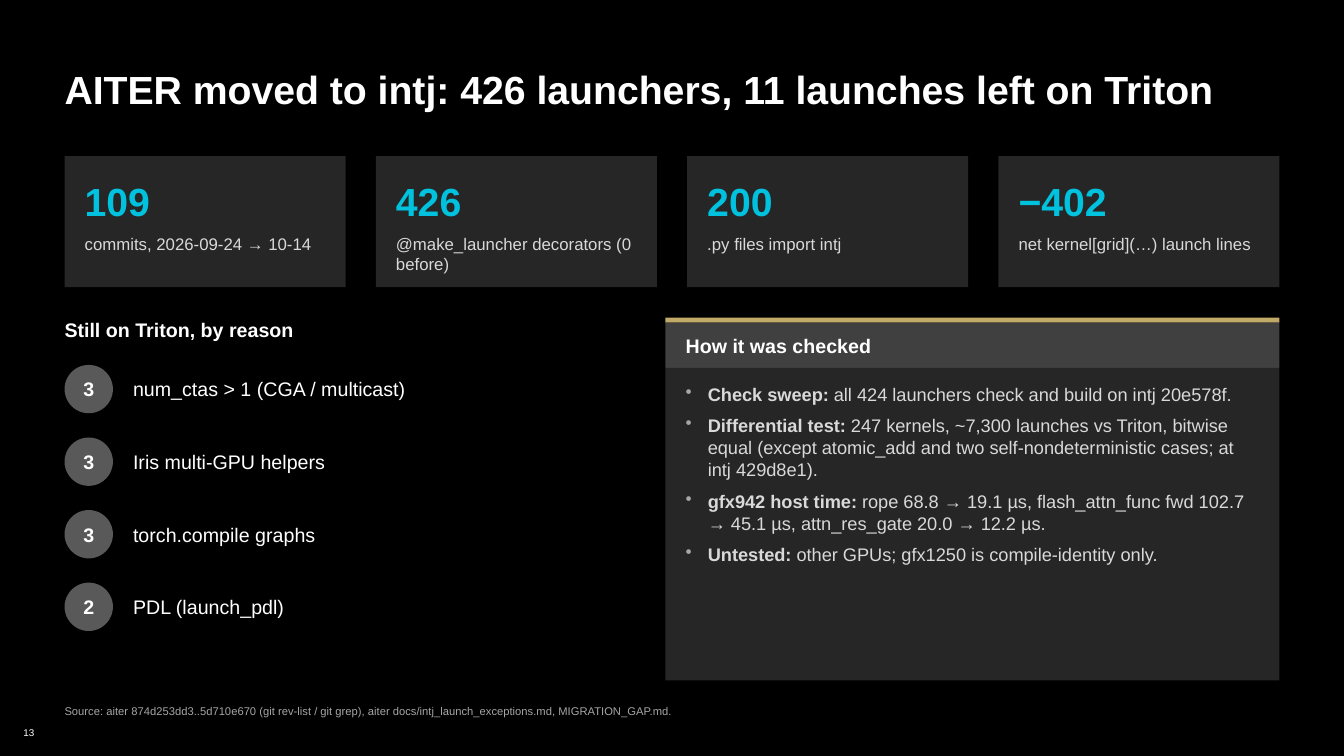
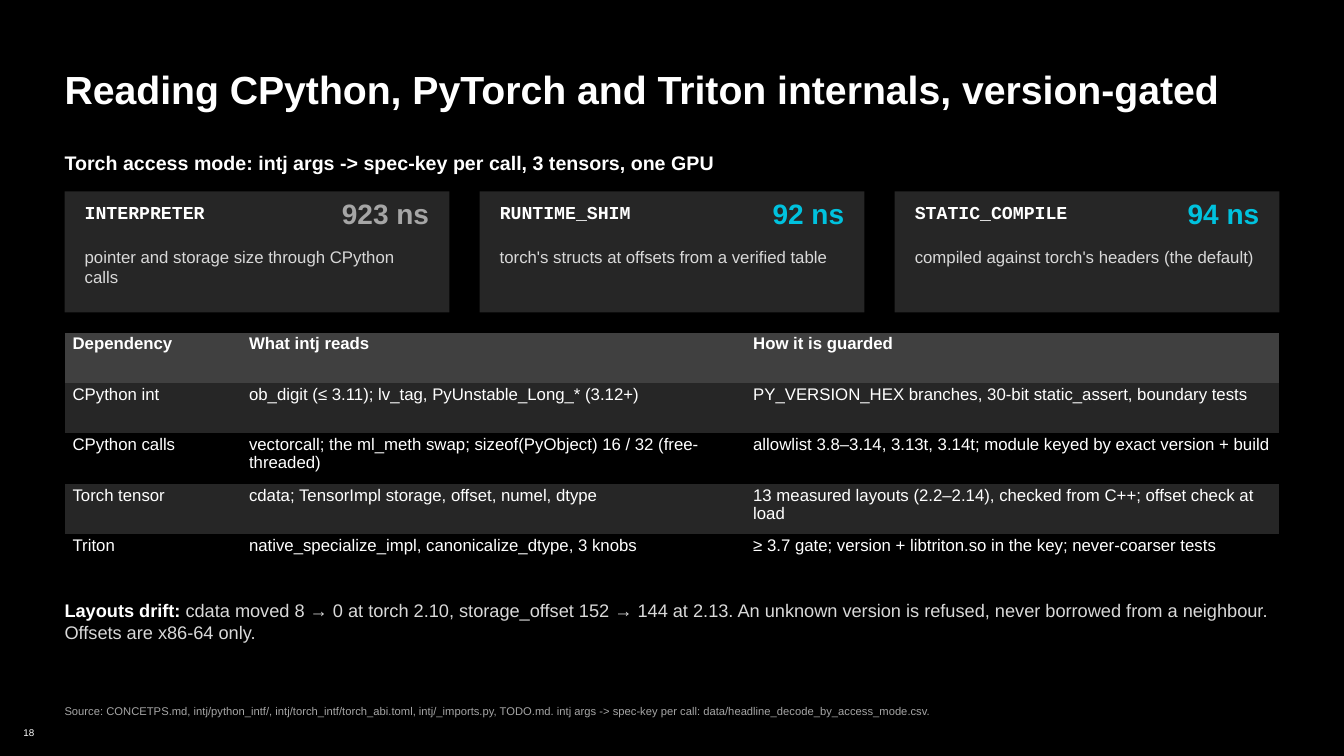
"""Build two dark slides on the intj launcher migration."""
from lxml import etree
from pptx import Presentation
from pptx import util as u
from pptx.dml.color import RGBColor
from pptx.enum import shapes, text
from pptx.oxml import ns

HUE = {"black": "000000", "card": "262626", "head": "404040", "disc": "595959",
       "white": "FFFFFF", "soft": "D9D9D9", "mute": "A6A6A6",
       "cyan": "00C2DE", "gold": "C1A968"}
LEFT, SPAN, GAP, PAD = 0.64, 12.05, 0.3, 0.2
RIGHT = LEFT + SPAN
PLAIN = "{2D5ABB26-0587-4C30-8999-92F81FD0307C}"
ALIGN = {"l": text.PP_ALIGN.LEFT, "c": text.PP_ALIGN.CENTER, "r": text.PP_ALIGN.RIGHT}


def rgb(hue):
    return RGBColor.from_string(HUE[hue])


def paint(fill, hue):
    fill.solid()
    fill.fore_color.rgb = rgb(hue)


def grid(count):
    """Return the left edges and the shared width of equal columns."""
    wide = (SPAN - GAP * (count - 1)) / count
    return [LEFT + i * (wide + GAP) for i in range(count)], wide


def dot(para):
    """Give a paragraph a hanging grey bullet."""
    props = para._p.get_or_add_pPr()
    props.set("marL", str(u.Inches(0.22)))
    props.set("indent", str(-u.Inches(0.22)))
    tint = etree.SubElement(props, ns.qn("a:buClr"))
    etree.SubElement(tint, ns.qn("a:srgbClr"), val=HUE["mute"])
    etree.SubElement(props, ns.qn("a:buChar"), char="•")


def write(frame, words, size=12, hue="white", bold=False, font="Arial", align="l",
          mid=False, lead_hue=None, bullet=False, after=0, line=None, wrap=True):
    """Fill a frame with text, or with a list of (bold lead, rest) pairs."""
    frame.word_wrap = wrap
    frame.margin_left = frame.margin_right = frame.margin_top = frame.margin_bottom = 0
    frame.vertical_anchor = text.MSO_ANCHOR.MIDDLE if mid else text.MSO_ANCHOR.TOP
    pairs = [("", words)] if isinstance(words, str) else words
    for i, (lead, rest) in enumerate(pairs):
        para = frame.paragraphs[0] if i == 0 else frame.add_paragraph()
        para.alignment = ALIGN[align]
        if line:
            para.line_spacing = line
        if i < len(pairs) - 1:
            para.space_after = u.Pt(after)
        if bullet:
            dot(para)
        for part, heavy, tone in ((lead, True, lead_hue or hue), (rest, bold, hue)):
            if part:
                run = para.add_run()
                run.text = part
                run.font.name, run.font.size, run.font.bold = font, u.Pt(size), heavy
                run.font.color.rgb = rgb(tone)


def label(slide, words, x, y, w, h, **form):
    box = slide.shapes.add_textbox(*map(u.Inches, (x, y, w, h)))
    write(box.text_frame, words, **form)


def block(slide, hue, x, y, w, h, kind=shapes.MSO_SHAPE.RECTANGLE):
    shape = slide.shapes.add_shape(kind, *map(u.Inches, (x, y, w, h)))
    shape.shadow.inherit = False
    paint(shape.fill, hue)
    shape.line.fill.background()
    return shape


def page(deck, number, title, source):
    """Add a slide with its title, source line and page number."""
    slide = deck.slides.add_slide(deck.slide_layouts[6])
    label(slide, number, 0.21, 7.16, 0.13, 0.21, size=7, align="r", mid=True, wrap=False)
    label(slide, title, LEFT, 0.65, SPAN, 0.47, size=28, bold=True)
    label(slide, "Source: " + source, LEFT, 6.93, 10.9, 0.25, size=8, hue="mute", mid=True)
    return slide


def stats(slide, items, y=1.55):
    """Draw a row of cards with a large figure over a caption."""
    lefts, wide = grid(len(items))
    for x, (figure, note) in zip(lefts, items):
        block(slide, "card", x, y, wide, 1.3)
        x, room = x + PAD, wide - 2 * PAD
        label(slide, figure, x, y + 0.12, room, 0.65, size=28, hue="cyan", bold=True, mid=True)
        label(slide, note, x, y + 0.77, room, 0.45, hue="soft")


def modes(slide, items, y=1.9):
    """Draw a row of cards with a code name, a time and a caption."""
    lefts, wide = grid(len(items))
    for x, (name, time, hue, note) in zip(lefts, items):
        block(slide, "card", x, y, wide, 1.2)
        end = x + wide - PAD
        x += PAD
        label(slide, name, x, y + 0.1, 2.22, 0.35, size=13, bold=True, font="Courier New")
        label(slide, time, end - 1.25, y + 0.05, 1.25, 0.45, size=20, hue=hue, bold=True, align="r")
        label(slide, note, x, y + 0.55, end - x, 0.6, hue="soft")


def tally(slide, items, y=3.62, step=0.72, size=0.48):
    """Draw a column of numbered discs with their labels."""
    for i, (count, name) in enumerate(items):
        top = y + i * step
        disc = block(slide, "disc", LEFT, top, size, size, shapes.MSO_SHAPE.OVAL)
        write(disc.text_frame, count, size=14, bold=True, align="c", mid=True)
        label(slide, name, LEFT + size + PAD, top, 5, size, size=14, mid=True)


def panel(slide, title, points, x=6.6, y=3.15):
    """Draw a titled panel with a gold top edge and bullets."""
    wide = RIGHT - x
    for hue, top, high in (("gold", y, 0.05), ("head", y + 0.05, 0.45), ("card", y + 0.5, 3.1)):
        block(slide, hue, x, top, wide, high)
    x, room = x + PAD, wide - 2 * PAD
    label(slide, title, x, y + 0.05, room, 0.45, size=14, bold=True, mid=True)
    label(slide, points, x, y + 0.65, room, 2.9, size=13, hue="soft", bullet=True, after=7)


def table(slide, rows, cols, y=3.3, high=0.5):
    """Draw a borderless table with a grey header and alternating rows."""
    area = map(u.Inches, (LEFT, y, SPAN, high * len(rows)))
    body = slide.shapes.add_table(len(rows), len(cols), *area).table
    body.horz_banding = False
    body._tbl.tblPr.find(ns.qn("a:tableStyleId")).text = PLAIN
    for col, wide in zip(body.columns, cols):
        col.width = u.Inches(wide)
    for r, row in enumerate(rows):
        body.rows[r].height = u.Inches(high)
        hue = "head" if r == 0 else ("black", "card")[r % 2]
        for c, words in enumerate(row):
            cell = body.cell(r, c)
            paint(cell.fill, hue)
            write(cell.text_frame, words, bold=r == 0, line=0.95)
            cell.margin_left = cell.margin_right = u.Inches(0.08)
            cell.margin_top = cell.margin_bottom = u.Inches(0.03)


def moved(deck):
    slide = page(deck, "13", "AITER moved to intj: 426 launchers, 11 launches left on Triton",
                 "aiter 874d253dd3..5d710e670 (git rev-list / git grep), "
                 "aiter docs/intj_launch_exceptions.md, MIGRATION_GAP.md.")
    stats(slide, [("109", "commits, 2026-09-24 → 10-14"),
                  ("426", "@make_launcher decorators (0 before)"),
                  ("200", ".py files import intj"),
                  ("−402", "net kernel[grid](…) launch lines")])
    label(slide, "Still on Triton, by reason", LEFT, 3.15, 5.6, 0.35, size=14, bold=True)
    tally(slide, [("3", "num_ctas > 1 (CGA / multicast)"), ("3", "Iris multi-GPU helpers"),
                  ("3", "torch.compile graphs"), ("2", "PDL (launch_pdl)")])
    panel(slide, "How it was checked", [
        ("Check sweep: ", "all 424 launchers check and build on intj 20e578f."),
        ("Differential test: ", "247 kernels, ~7,300 launches vs Triton, bitwise equal "
         "(except atomic_add and two self-nondeterministic cases; at intj 429d8e1)."),
        ("gfx942 host time: ", "rope 68.8 → 19.1 µs, flash_attn_func fwd 102.7 → 45.1 µs, "
         "attn_res_gate 20.0 → 12.2 µs."),
        ("Untested: ", "other GPUs; gfx1250 is compile-identity only.")])


def gated(deck):
    slide = page(deck, "18", "Reading CPython, PyTorch and Triton internals, version-gated",
                 "CONCETPS.md, intj/python_intf/, intj/torch_intf/torch_abi.toml, "
                 "intj/_imports.py, TODO.md. intj args -> spec-key per call: "
                 "data/headline_decode_by_access_mode.csv.")
    label(slide, "Torch access mode: intj args -> spec-key per call, 3 tensors, one GPU",
          LEFT, 1.5, SPAN, 0.32, size=14, bold=True)
    modes(slide, [
        ("INTERPRETER", "923 ns", "mute", "pointer and storage size through CPython calls"),
        ("RUNTIME_SHIM", "92 ns", "cyan", "torch's structs at offsets from a verified table"),
        ("STATIC_COMPILE", "94 ns", "cyan", "compiled against torch's headers (the default)")])
    table(slide, [
        ("Dependency", "What intj reads", "How it is guarded"),
        ("CPython int", "ob_digit (≤ 3.11); lv_tag, PyUnstable_Long_* (3.12+)",
         "PY_VERSION_HEX branches, 30-bit static_assert, boundary tests"),
        ("CPython calls", "vectorcall; the ml_meth swap; sizeof(PyObject) 16 / 32 (free-threaded)",
         "allowlist 3.8–3.14, 3.13t, 3.14t; module keyed by exact version + build"),
        ("Torch tensor", "cdata; TensorImpl storage, offset, numel, dtype",
         "13 measured layouts (2.2–2.14), checked from C++; offset check at load"),
        ("Triton", "native_specialize_impl, canonicalize_dtype, 3 knobs",
         "≥ 3.7 gate; version + libtriton.so in the key; never-coarser tests")],
        (1.75, 5, 5.3))
    label(slide, [("Layouts drift: ", "cdata moved 8 → 0 at torch 2.10, storage_offset 152 → 144 "
                   "at 2.13. An unknown version is refused, never borrowed from a neighbour. "
                   "Offsets are x86-64 only.")],
          LEFT, 5.95, SPAN, 0.75, size=13, hue="soft", lead_hue="white")


def main():
    deck = Presentation()
    deck.slide_width, deck.slide_height = u.Inches(13.33), u.Inches(7.5)
    paint(deck.slide_master.background.fill, "black")
    moved(deck)
    gated(deck)
    deck.save("out.pptx")


if __name__ == "__main__":
    main()
